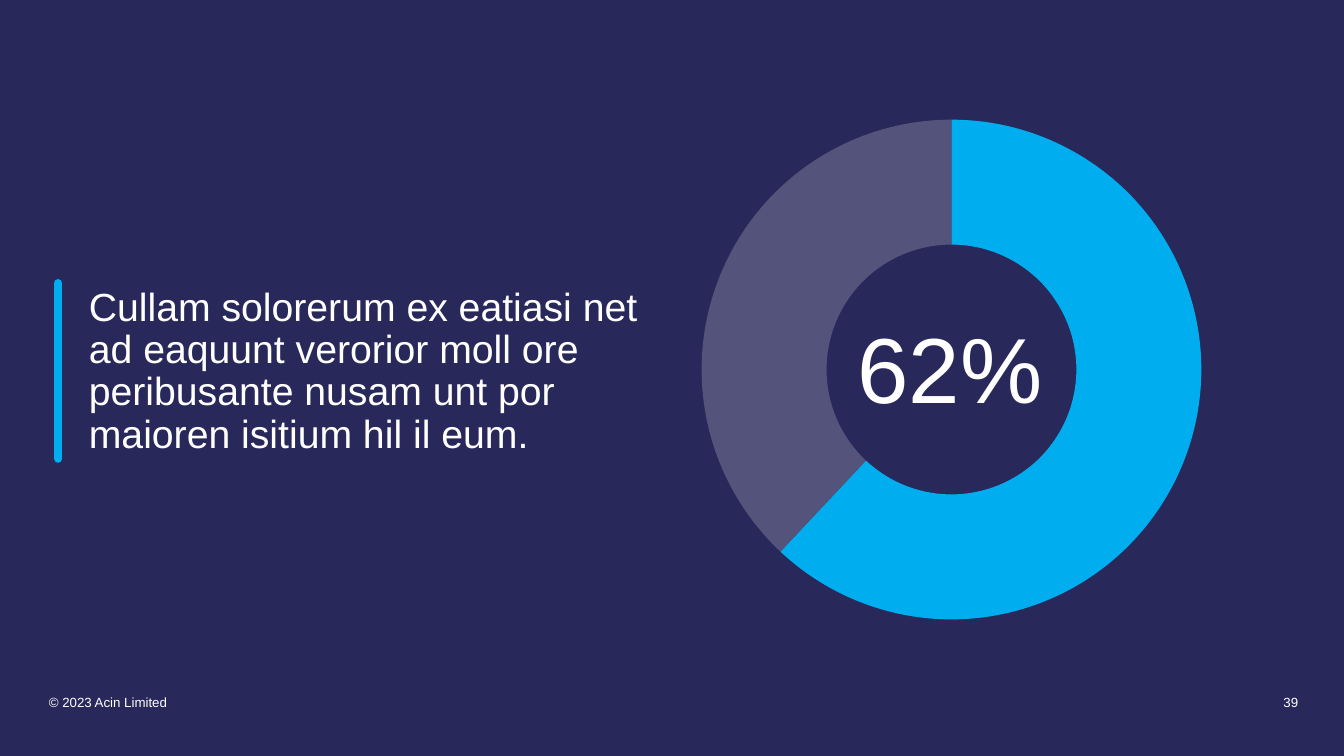
from dataclasses import dataclass

from lxml.etree import SubElement
from pptx import Presentation
from pptx.chart.data import CategoryChartData
from pptx.dml.color import RGBColor
from pptx.enum.chart import XL_CHART_TYPE
from pptx.enum.shapes import MSO_CONNECTOR
from pptx.enum.text import MSO_ANCHOR, PP_ALIGN
from pptx.oxml import parse_xml
from pptx.oxml.ns import nsdecls, qn
from pptx.slide import Slide
from pptx.util import Pt

COLORS = {
    "background": "28285A",
    "text": "FFFFFF",
    "accent": "00AEEF",
    "remainder": "53537B",
}
FONT = "Arial"


@dataclass(frozen=True)
class Label:
    text: str
    left: float
    top: float
    width: float
    height: float
    size: float
    alignment: PP_ALIGN = PP_ALIGN.LEFT
    anchor: MSO_ANCHOR = MSO_ANCHOR.MIDDLE
    line_spacing: float = 1.0
    margin_x: float = 0
    margin_y: float = 0
    wrap: bool = True


STATEMENT = Label(
    "Cullam solorerum ex eatiasi net ad eaquunt verorior moll ore "
    "peribusante nusam unt por maioren isitium hil il eum.",
    63.5, 194.4, 396.7, 142.6, 28, line_spacing=0.9,
)
COPYRIGHT = Label("© 2023 Acin Limited", 34.9, 493.9, 336.2, 15.8, 9.5)
PAGE_NUMBER = Label("39", 886.3, 493.9, 41, 15.8, 9.5, alignment=PP_ALIGN.RIGHT)
PERCENTAGE = Label(
    "62%", 605.5, 218.9, 147.6, 87.1, 66,
    anchor=MSO_ANCHOR.TOP, margin_x=7.2, margin_y=3.6, wrap=False,
)


def color(name: str) -> RGBColor:
    return RGBColor.from_string(COLORS[name])


def add_label(slide: Slide, label: Label) -> None:
    shape = slide.shapes.add_textbox(
        Pt(label.left), Pt(label.top), Pt(label.width), Pt(label.height)
    )
    text_frame = shape.text_frame
    text_frame.text = label.text
    text_frame.word_wrap = label.wrap
    text_frame.vertical_anchor = label.anchor
    text_frame.margin_left = text_frame.margin_right = Pt(label.margin_x)
    text_frame.margin_top = text_frame.margin_bottom = Pt(label.margin_y)
    paragraph = text_frame.paragraphs[0]
    paragraph.alignment = label.alignment
    paragraph.line_spacing = label.line_spacing
    font = paragraph.runs[0].font
    font.name = FONT
    font.size = Pt(label.size)
    font.color.rgb = color("text")


def add_doughnut(slide: Slide) -> None:
    data = CategoryChartData()
    data.categories = ["1", "2"]
    data.add_series("Series 1", (62, 38))
    chart = slide.shapes.add_chart(
        XL_CHART_TYPE.DOUGHNUT, Pt(400.3), Pt(74.2), Pt(558.7), Pt(375.8), data
    ).chart
    chart.has_legend = False
    chart.has_title = False
    chart.font.name = FONT
    chart.font.size = Pt(10)
    chart.font.color.rgb = color("text")
    plot = chart.plots[0]
    plot.vary_by_categories = True
    for index, name in enumerate(("accent", "remainder")):
        point_format = plot.series[0].points[index].format
        point_format.fill.solid()
        point_format.fill.fore_color.rgb = color(name)
        point_format.line.fill.background()
    plot_element = plot._element
    plot_element.find(qn("c:holeSize")).set("val", "85")
    plot_area = plot_element.getparent()
    for layout in plot_area.findall(qn("c:layout")):
        plot_area.remove(layout)
    layout = parse_xml(f"<c:layout {nsdecls('c')}><c:manualLayout/></c:layout>")
    settings = {
        "layoutTarget": "inner", "xMode": "edge", "yMode": "edge",
        "x": "0.18", "y": "0.03", "w": "0.64", "h": "0.95",
    }
    for tag, value in settings.items():
        SubElement(layout[0], qn(f"c:{tag}")).set("val", value)
    plot_area.insert(0, layout)


def add_accent_bar(slide: Slide) -> None:
    connector = slide.shapes.add_connector(
        MSO_CONNECTOR.STRAIGHT, Pt(41.6), Pt(202.3), Pt(41.6), Pt(327.6)
    )
    connector.line.width = Pt(6)
    connector.line.color.rgb = color("accent")
    properties = connector._element.spPr
    properties.find(qn("a:ln")).set("cap", "rnd")
    SubElement(properties, qn("a:effectLst"))


def main() -> None:
    presentation = Presentation()
    presentation.slide_width = Pt(960)
    presentation.slide_height = Pt(540)
    slide = presentation.slides.add_slide(presentation.slide_layouts[6])
    slide.background.fill.solid()
    slide.background.fill.fore_color.rgb = color("background")
    for label in (STATEMENT, COPYRIGHT, PAGE_NUMBER):
        add_label(slide, label)
    add_doughnut(slide)
    add_label(slide, PERCENTAGE)
    add_accent_bar(slide)
    presentation.save("out.pptx")


if __name__ == "__main__":
    main()
